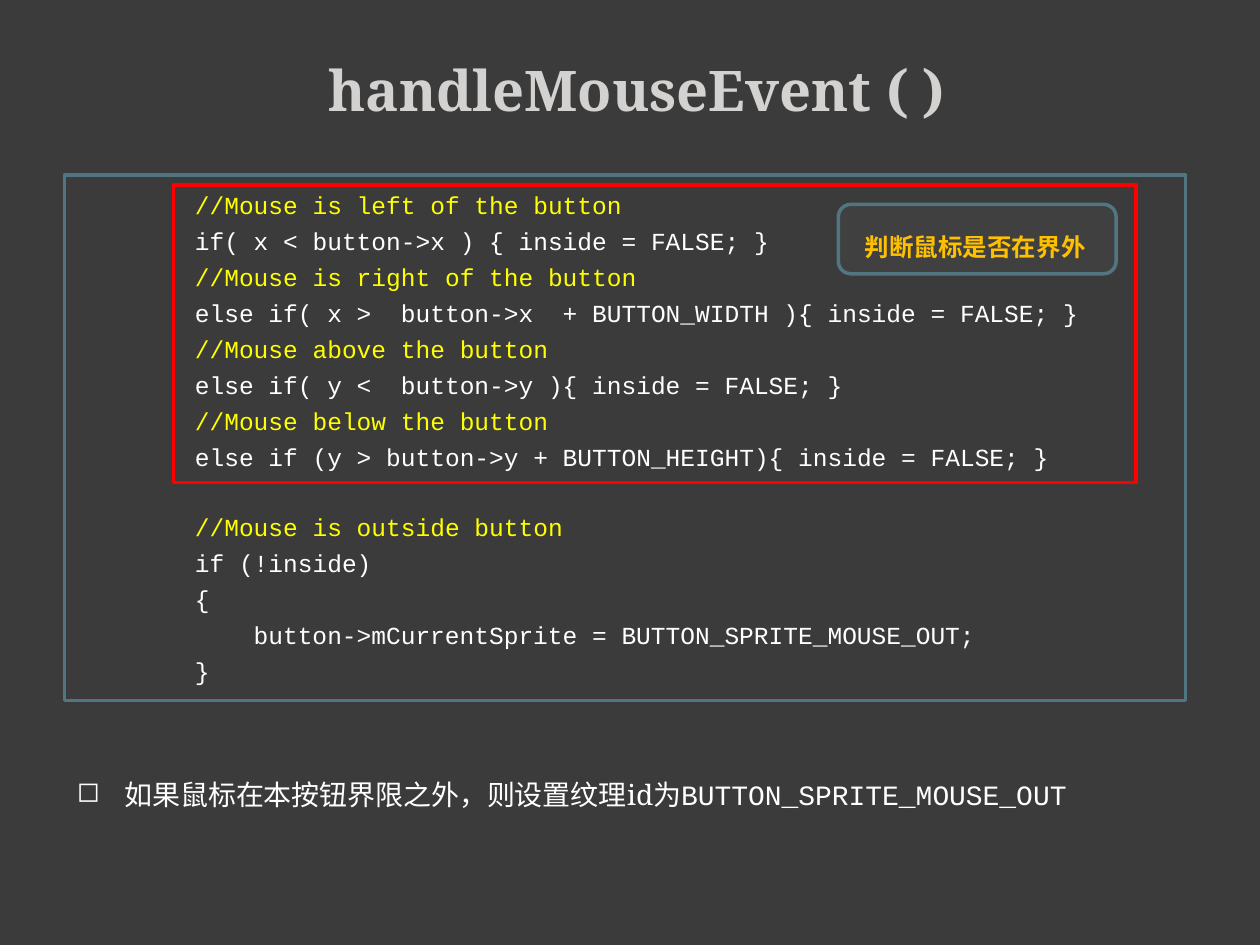
from lxml import etree
from pptx import Presentation
from pptx import util as u
from pptx.dml.color import RGBColor
from pptx.enum import shapes, text
from pptx.oxml.ns import qn

BACKGROUND = RGBColor(0x3B, 0x3B, 0x3B)
CALLOUT_FILL = RGBColor(0x40, 0x40, 0x40)
FRAME = RGBColor(0x51, 0x76, 0x82)
TITLE = RGBColor(0xD4, 0xD2, 0xD0)
WHITE = RGBColor(0xFF, 0xFF, 0xFF)
YELLOW = RGBColor(0xFF, 0xFF, 0x00)
GOLD = RGBColor(0xFF, 0xC0, 0x00)
RED = RGBColor(0xFF, 0x00, 0x00)

SERIF = "Noto Serif"
MONO = "Courier New"
CODE_SIZE = 14
LINE_GAP = 3.74
BLANK_LINE = 19.6
TAB_WIDTH = 4 * 0.6 * CODE_SIZE  # four monospaced characters, in points

# Each entry: indent level, code text
BOUNDS_CHECK = [
    (0, "//Mouse is left of the button"),
    (0, "if( x < button->x ) { inside = FALSE; }"),
    (0, "//Mouse is right of the button"),
    (0, "else if( x >  button->x  + BUTTON_WIDTH ){ inside = FALSE; }"),
    (0, "//Mouse above the button"),
    (0, "else if( y <  button->y ){ inside = FALSE; }"),
    (0, "//Mouse below the button"),
    (0, "else if (y > button->y + BUTTON_HEIGHT){ inside = FALSE; }"),
]
OUTSIDE_CASE = [
    (0, "//Mouse is outside button"),
    (0, "if (!inside)"),
    (0, "{"),
    (1, "button->mCurrentSprite = BUTTON_SPRITE_MOUSE_OUT;"),
    (0, "}"),
]


def set_values(target, values):
    for name, value in values.items():
        setattr(target, name, value)


def add_run(paragraph, content, font, size, color, bold=False):
    run = paragraph.add_run()
    run.text = content
    set_values(run.font, {"name": font, "size": u.Pt(size), "bold": bold})
    run.font.color.rgb = color


def prepare_frame(shape, **values):
    frame = shape.text_frame
    set_values(frame, {"word_wrap": True, **values})
    return frame


def add_text_box(slide, box, **values):
    shape = slide.shapes.add_textbox(*map(u.Cm, box))
    return prepare_frame(shape, **values)


def add_box(slide, kind, box, line_color, fill_color=None):
    shape = slide.shapes.add_shape(kind, *map(u.Cm, box))
    shape.shadow.inherit = False
    if fill_color is None:
        shape.fill.background()
    else:
        shape.fill.solid()
        shape.fill.fore_color.rgb = fill_color
    shape.line.color.rgb = line_color
    shape.line.width = u.Pt(2)
    return shape


def add_code(frame, blocks):
    paragraph = frame.paragraphs[0]
    for block_number, block in enumerate(blocks):
        for line_number, (level, code) in enumerate(block):
            if block_number or line_number:
                paragraph = frame.add_paragraph()
            new_block = block_number and not line_number
            gap = LINE_GAP + (BLANK_LINE if new_block else 0)
            set_values(paragraph, {"alignment": text.PP_ALIGN.LEFT,
                                   "space_before": u.Pt(gap)})
            if level:
                properties = paragraph._p.get_or_add_pPr()
                properties.set("marL", str(u.Pt(level * TAB_WIDTH)))
            color = YELLOW if code.startswith("//") else WHITE
            add_run(paragraph, code, MONO, CODE_SIZE, color)


def set_bullet(paragraph, character, indent):
    properties = paragraph._p.get_or_add_pPr()
    properties.set("marL", str(indent))
    properties.set("indent", str(-indent))
    etree.SubElement(properties, qn("a:buChar")).set("char", character)


def main():
    presentation = Presentation()
    presentation.slide_width, presentation.slide_height = u.Cm(25.4), u.Cm(19.05)
    slide = presentation.slides.add_slide(presentation.slide_layouts[6])
    slide.background.fill.solid()
    slide.background.fill.fore_color.rgb = BACKGROUND

    # Title
    frame = add_text_box(slide, (1.3, 0.05, 22.8, 3.48),
                         vertical_anchor=text.MSO_ANCHOR.MIDDLE)
    paragraph = frame.paragraphs[0]
    paragraph.alignment = text.PP_ALIGN.CENTER
    add_run(paragraph, " handleMouseEvent ( )", SERIF, 32, TITLE, bold=True)

    # Code listing
    rectangle = shapes.MSO_SHAPE.RECTANGLE
    listing = add_box(slide, rectangle, (1.3, 3.53, 22.6, 10.59), FRAME)
    frame = prepare_frame(listing, margin_left=u.Cm(2.63),
                          vertical_anchor=text.MSO_ANCHOR.MIDDLE)
    add_code(frame, [BOUNDS_CHECK, OUTSIDE_CASE])

    # Explanation below the code
    frame = add_text_box(slide, (1.3, 14.73, 22.8, 3.6), margin_top=u.Cm(0.94))
    paragraph = frame.paragraphs[0]
    set_bullet(paragraph, "◻", u.Cm(0.96))
    add_run(paragraph, "如果鼠标在本按钮界限之外，则设置纹理id为", SERIF, 16, WHITE)
    add_run(paragraph, "BUTTON_SPRITE_MOUSE_OUT", MONO, 16, WHITE)

    # Callout on the bounds check
    callout = add_box(slide, shapes.MSO_SHAPE.ROUNDED_RECTANGLE,
                      (16.9, 4.12, 5.6, 1.4), FRAME, CALLOUT_FILL)
    callout.adjustments[0] = 0.18
    frame = prepare_frame(callout, margin_left=u.Cm(0.46),
                          vertical_anchor=text.MSO_ANCHOR.MIDDLE)
    paragraph = frame.paragraphs[0]
    set_values(paragraph, {"alignment": text.PP_ALIGN.LEFT, "line_spacing": 1.5})
    add_run(paragraph, "判断鼠标是否在界外", SERIF, 14, GOLD, bold=True)

    # Highlight around the bounds check
    add_box(slide, rectangle, (3.5, 3.73, 19.4, 6), RED)

    presentation.save("out.pptx")


if __name__ == "__main__":
    main()
